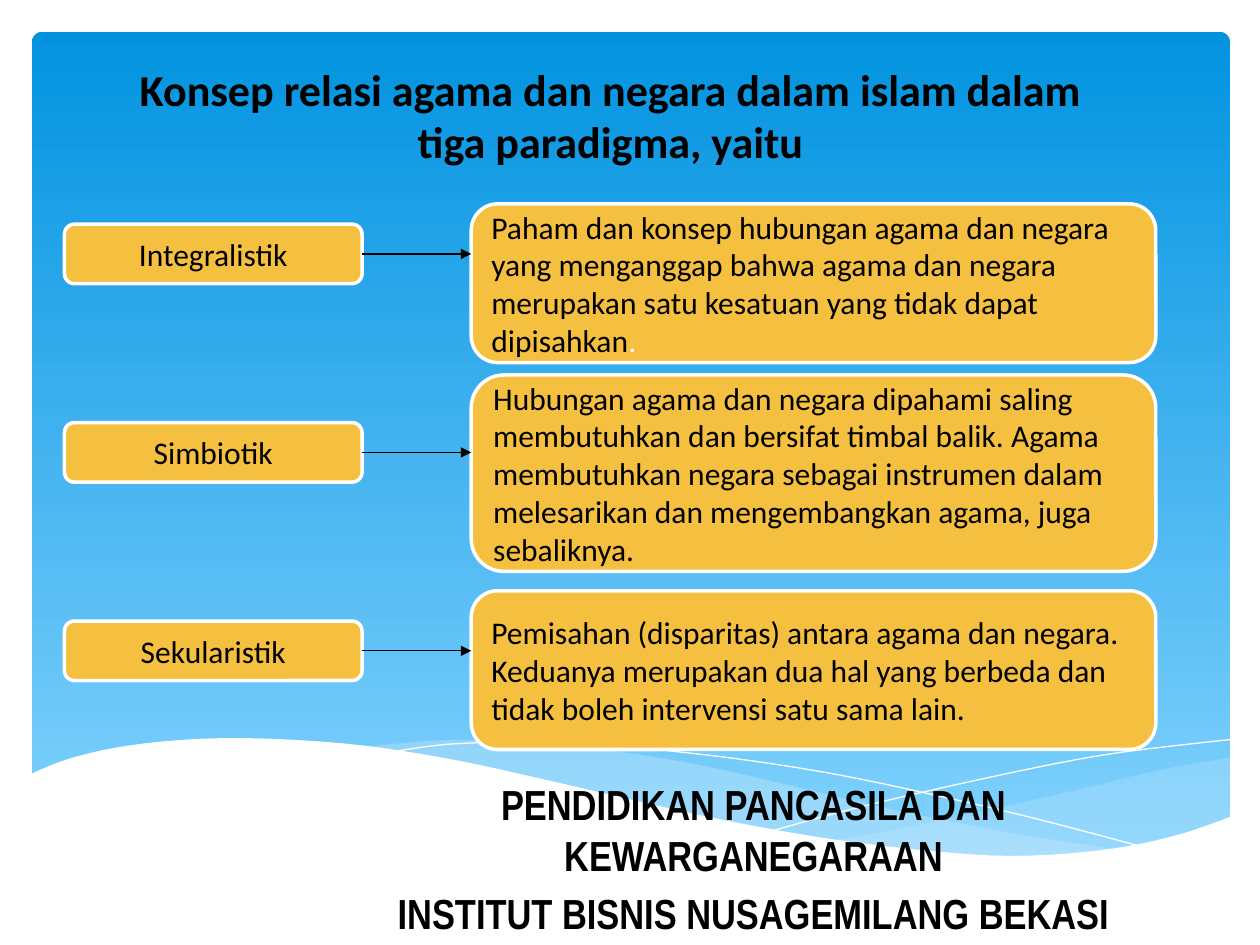
from lxml.etree import SubElement
from pptx import Presentation
from pptx.dml.color import RGBColor
from pptx.enum.shapes import MSO_CONNECTOR as Connector, MSO_SHAPE as Preset
from pptx.enum.text import MSO_ANCHOR as Anchor, MSO_AUTO_SIZE as AutoSize, PP_ALIGN as Align
from pptx.oxml.ns import qn
from pptx.util import Cm, Pt

COLORS = {"sky_top": "0293E0", "sky_bottom": "83D3FE", "ribbon": "C6E7FC",
          "white": "FFFFFF", "card": "F5C040", "ink": "000000"}

# Wave curves in cm, measured from the corner of the wave region
CREST = [(24.2, .37), (22.8, .62), (21.3, .98), (19.2, 1.46), (17.36, 1.84), (16.2, 2.04)]
CREST_BASE = [(16.2, 2.04), (17.66, 2.22), (18.96, 2.35), (20.1, 2.37), (21.57, 2.27),
              (22.82, 2.04), (24.2, 1.58)]
RIBBON = [(22.1, 2.25), (19.9, 1.91), (17.36, 1.41), (15.4, .95), (13.5, .52),
          (11.8, .24), (10.07, .06), (8.6, .01), (7.4, .09), (6.7, .16)]
RIBBON_BASE = [(6.7, .16), (8.6, .44), (10.8, .95), (12.86, 1.41), (14.7, 1.79),
               (16.3, 2.07), (17.76, 2.27), (19.06, 2.37), (20.2, 2.37), (21.2, 2.35),
               (22.1, 2.25)]
FALLING_LINE = [(7.27, .26), (8.37, .11), (9.6, .06), (10.86, .06), (12.4, .19),
                (14.2, .39), (16.3, .72), (18.7, 1.23), (20.5, 1.66), (22.5, 2.19)]
RISING_LINE = [(15, 1.84), (16.5, 1.43), (18.4, .98), (20.7, .49), (22.2, .24), (24.2, .01)]
FOREGROUND = [(24.22, 1.56), (23.28, 1.89), (22.23, 2.14), (21, 2.3), (19.54, 2.35),
              (17.84, 2.22), (15.86, 1.97), (13.5, 1.53), (10.75, .9), (8.67, .44),
              (6.82, .14), (5.24, .01), (3.9, -.02), (2.75, .04), (1.8, .16),
              (1.1, .31), (.57, .47), (-.02, .72)]
FOREGROUND_BASE = [(-.02, 3.67), (24.22, 3.67)]

# Paradigm, its explanation, closing mark in white, card offset from row top, card height
PARADIGMS = [
    ("Integralistik", "Paham dan konsep hubungan agama dan negara yang menganggap bahwa agama "
     "dan negara merupakan satu kesatuan yang tidak dapat dipisahkan", ".", -.41, 3.2),
    ("Simbiotik", "Hubungan agama dan negara dipahami saling membutuhkan dan bersifat timbal "
     "balik. Agama membutuhkan negara sebagai instrumen dalam melesarikan dan mengembangkan "
     "agama, juga sebaliknya.", "", -.96, 3.96),
    ("Sekularistik", "Pemisahan (disparitas) antara agama dan negara. Keduanya merupakan dua "
     "hal yang berbeda dan tidak boleh intervensi satu sama lain.", "", -.61, 3.2),
]


def rgb(name):
    return RGBColor.from_string(COLORS[name])


def smooth(points, steps=5):
    """Return the points of a Catmull-Rom curve through the given points."""
    padded = [points[0], *points, points[-1]]
    curve = [points[0]]
    for a, b, c, d in zip(padded, padded[1:], padded[2:], padded[3:]):
        for step in range(1, steps + 1):
            t = step / steps
            curve.append(tuple(
                (2 * q + (r - p) * t + (2 * p - 5 * q + 4 * r - s) * t ** 2
                 + (3 * q - p - 3 * r + s) * t ** 3) / 2
                for p, q, r, s in zip(a, b, c, d)))
    return curve


def add_outline(slide, box, points, closed):
    left, top = box[:2]
    start, *rest = [(Cm(left + x), Cm(top + y)) for x, y in points]
    builder = slide.shapes.build_freeform(*start)
    builder.add_line_segments(rest, close=closed)
    outline = builder.convert_to_shape()
    outline.shadow.inherit = False
    return outline


def add_wave(slide, box, points, color, opacity=100):
    wave = add_outline(slide, box, points, closed=True)
    wave.fill.solid()
    wave.fill.fore_color.rgb = rgb(color)
    wave.line.fill.background()
    if opacity < 100:
        srgb = wave.element.spPr.find(f"{qn('a:solidFill')}/{qn('a:srgbClr')}")
        SubElement(srgb, qn("a:alpha")).set("val", str(opacity * 1000))


def add_sky(slide, box):
    sky = slide.shapes.add_shape(Preset.ROUNDED_RECTANGLE, *map(Cm, box))
    sky.adjustments[0] = .013
    sky.shadow.inherit = False
    sky.line.fill.background()
    sky.fill.gradient()
    sky.fill.gradient_angle = 270
    for stop, color in zip(sky.fill.gradient_stops, ("sky_top", "sky_bottom")):
        stop.color.rgb = rgb(color)


def add_waves(slide, box):
    add_wave(slide, box, smooth(CREST) + smooth(CREST_BASE), "ribbon", 29)
    add_wave(slide, box, smooth(RIBBON) + smooth(RIBBON_BASE), "ribbon", 40)
    for curve in (FALLING_LINE, RISING_LINE):
        thread = add_outline(slide, box, smooth(curve), closed=False)
        thread.fill.background()
        thread.line.color.rgb = rgb("white")
        thread.line.width = Pt(0)
    add_wave(slide, box, smooth(FOREGROUND) + FOREGROUND_BASE, "white")


def format_paragraph(paragraph, size, align, font="Calibri", bold=False):
    paragraph.alignment = align
    paragraph.font.name = font
    paragraph.font.size = Pt(size)
    paragraph.font.bold = bold
    paragraph.font.color.rgb = rgb("ink")


def fill_placeholder(placeholder, box, lines, anchor, size, font, space_before):
    """Move a placeholder to its box, in front of the backdrop, and set its text."""
    placeholder.element.getparent().append(placeholder.element)
    placeholder.left, placeholder.top, placeholder.width, placeholder.height = map(Cm, box)
    frame = placeholder.text_frame
    frame.text = "\n".join(lines)
    frame.auto_size = AutoSize.NONE
    frame.vertical_anchor = anchor
    for paragraph in frame.paragraphs:
        format_paragraph(paragraph, size, Align.CENTER, font, bold=True)
        paragraph.space_before = Pt(space_before)


def add_card(slide, box, text, align):
    card = slide.shapes.add_shape(Preset.ROUNDED_RECTANGLE, *map(Cm, box))
    card.shadow.inherit = False
    card.fill.solid()
    card.fill.fore_color.rgb = rgb("card")
    card.line.color.rgb = rgb("white")
    card.line.width = Pt(2)
    card.text_frame.text = text
    card.text_frame.vertical_anchor = Anchor.MIDDLE
    format_paragraph(card.text_frame.paragraphs[0], 18, align)
    return card


def add_arrow(slide, source, end_x):
    middle = source.top + source.height // 2
    arrow = slide.shapes.add_connector(
        Connector.STRAIGHT, source.left + source.width, middle, end_x, middle)
    arrow.begin_connect(source, 3)
    arrow.line.color.rgb = rgb("ink")
    arrow.line.width = Pt(.75)
    SubElement(arrow.line._get_or_add_ln(), qn("a:tailEnd")).set("type", "triangle")
    SubElement(arrow.element.spPr, qn("a:effectLst"))


def add_paradigm(slide, box, name, explanation, mark, card_offset, card_height):
    left, top, width, height = box
    card_left = left + 8.2
    label = add_card(slide, (left, top, 6, height), name, Align.CENTER)
    card = add_card(slide, (card_left, top + card_offset, width - 8.2, card_height),
                    explanation, Align.LEFT)
    if mark:
        run = card.text_frame.paragraphs[0].add_run()
        run.text = mark
        run.font.color.rgb = rgb("white")
    add_arrow(slide, label, card.left)


def main():
    deck = Presentation()
    deck.slide_width, deck.slide_height = Cm(25.4), Cm(19.05)
    slide = deck.slides.add_slide(deck.slide_layouts[0])
    add_sky(slide, (.64, .64, 24.16, 16.76))
    add_waves(slide, (.6, 14.9))
    fill_placeholder(
        slide.shapes.title, (2.11, .91, 20.4, 2.6),
        ["Konsep relasi agama dan negara dalam islam dalam tiga paradigma, yaitu"],
        Anchor.BOTTOM, 25.2, "Calibri", 0)
    fill_placeholder(
        slide.placeholders[1], (6.3, 15.57, 17.78, 3.4),
        ["PENDIDIKAN PANCASILA DAN KEWARGANEGARAAN", "INSTITUT BISNIS NUSAGEMILANG BEKASI"],
        Anchor.TOP, 24, "Arial Narrow", 4.8)
    for row, paradigm in enumerate(PARADIGMS):
        add_paradigm(slide, (1.3, 4.52 + 4 * row, 22, 1.2), *paradigm)
    deck.save("out.pptx")


if __name__ == "__main__":
    main()
